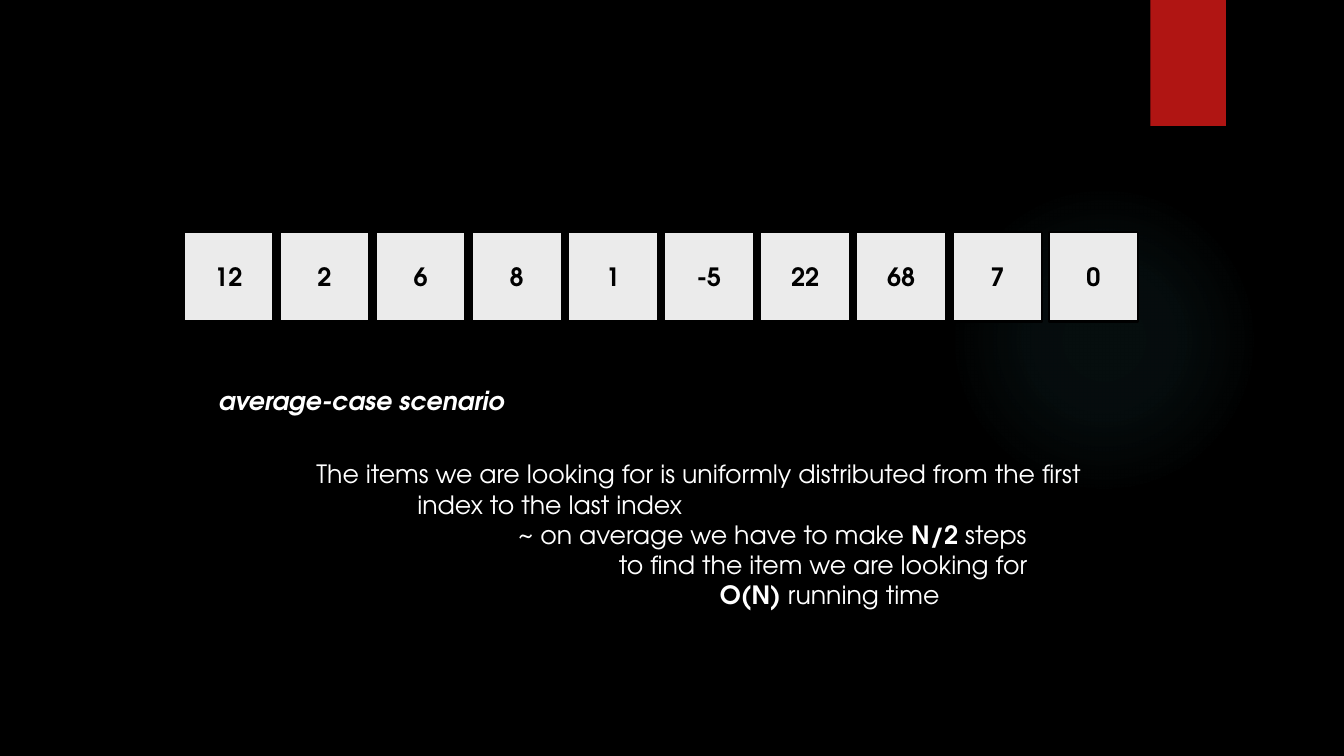
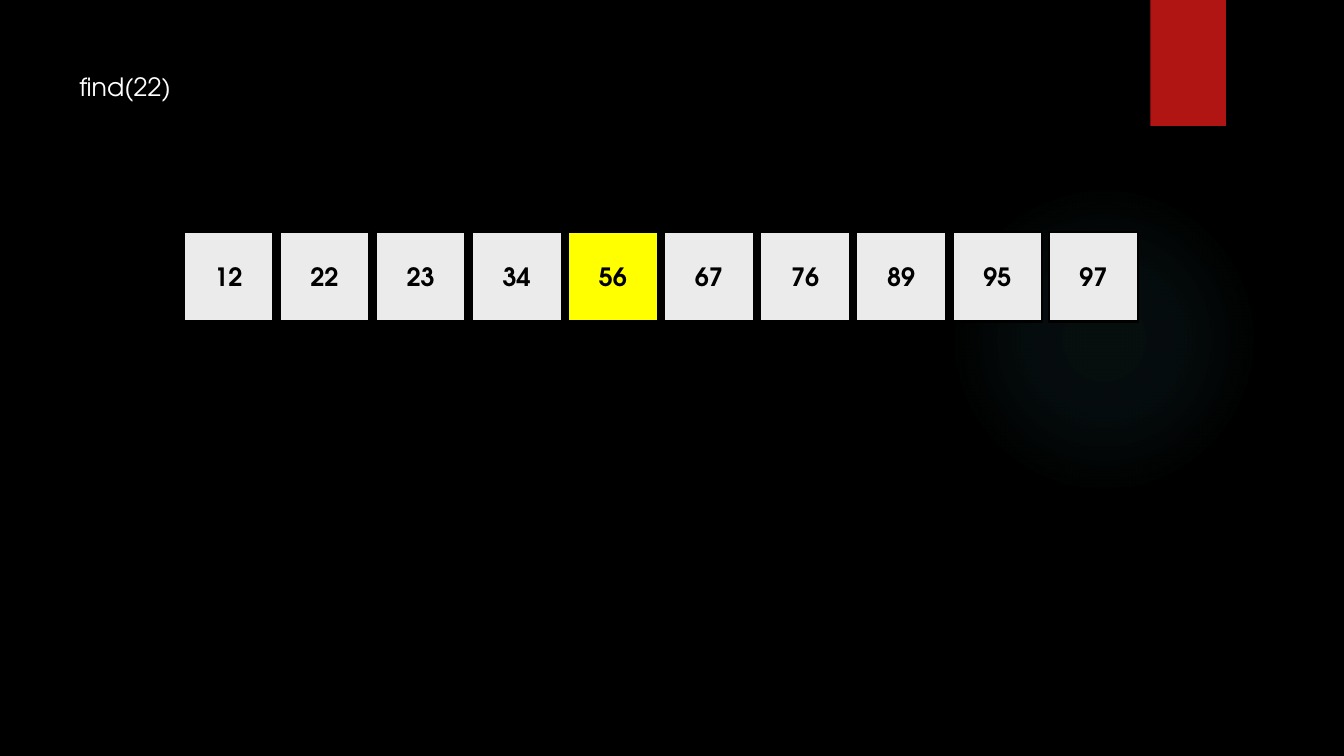
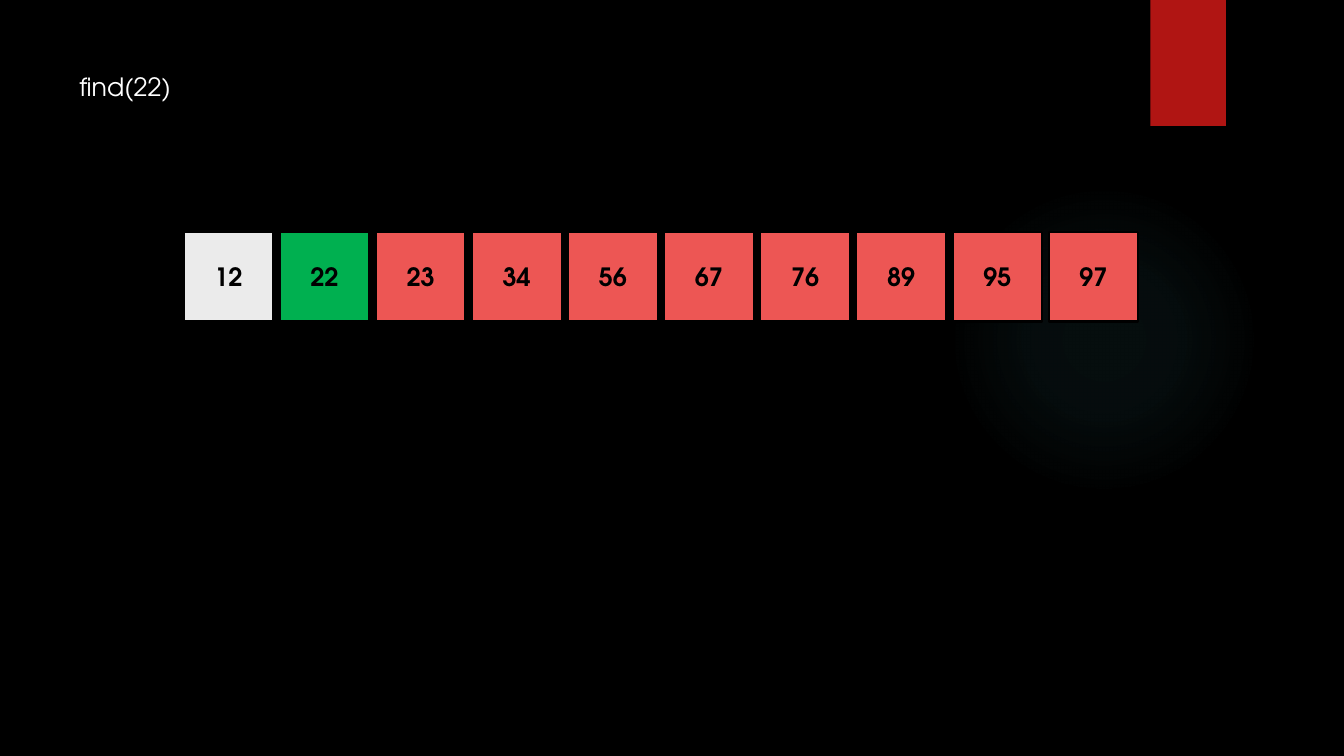
from dataclasses import dataclass

from pptx import Presentation
from pptx.dml.color import RGBColor
from pptx.enum.shapes import MSO_SHAPE as SHAPE
from pptx.enum.text import MSO_ANCHOR as ANCHOR, MSO_AUTO_SIZE as AUTO, PP_ALIGN as ALIGN
from pptx.oxml import parse_xml
from pptx.oxml.ns import nsdecls
from pptx.util import Inches, Pt


@dataclass(frozen=True)
class Theme:
    font: str = "TeX Gyre Adventor"
    size: float = 18
    line: float = 1.5
    back: str = "000000"
    text: str = "FFFFFF"
    ink: str = "000000"
    cell: str = "EBEBEB"
    probe: str = "FFFF00"
    found: str = "00B050"
    discarded: str = "ED5654"
    band: str = "B01513"
    glow: str = "50B9C1"
    glow_stops: tuple = ((0, 7), (36, 6), (69, 0))


T = Theme()
CELL_SIZE, CELL_TOP = 0.89, 2.3
FIRST_LEFT, LAST_LEFT = 1.82, 10.4
UNSORTED = (12, 2, 6, 8, 1, -5, 22, 68, 7, 0)
SORTED = (12, 22, 23, 34, 56, 67, 76, 89, 95, 97)


def rgb(color):
    return RGBColor.from_string(color)


def add_run(p, text, color, **formats):
    r = p.add_run()
    r.text = text
    r.font.color.rgb = rgb(color)
    for name, value in {"name": T.font, "size": Pt(T.size), **formats}.items():
        setattr(r.font, name, value)


def add_shape(slide, kind, box, color):
    sp = slide.shapes.add_shape(kind, *map(Inches, box))
    sp.shadow.inherit = False
    sp.fill.solid()
    sp.fill.fore_color.rgb = rgb(color)
    sp.line.fill.background()
    return sp


def fill_glow(sp):
    """Replace the fill by a radial gradient that fades to transparent."""
    stops = "".join(
        f'<a:gs pos="{pos * 1000}"><a:srgbClr val="{T.glow}">'
        f'<a:alpha val="{alpha * 1000}"/></a:srgbClr></a:gs>'
        for pos, alpha in T.glow_stops)
    grad = parse_xml(
        f'<a:gradFill {nsdecls("a")} rotWithShape="1"><a:gsLst>{stops}</a:gsLst>'
        '<a:path path="circle"><a:fillToRect l="50000" t="50000" r="50000" b="50000"/>'
        '</a:path></a:gradFill>')
    solid = sp.element.spPr.find(
        "{http://schemas.openxmlformats.org/drawingml/2006/main}solidFill")
    sp.element.spPr.replace(solid, grad)


def set_up_layout(layout, slide):
    """Draw the shared parts on a slide and move them to its layout."""
    fill = layout.background.fill
    fill.solid()
    fill.fore_color.rgb = rgb(T.back)
    tree = layout.shapes.element
    for ph in list(layout.placeholders):
        tree.remove(ph.element)
    glow = add_shape(slide, SHAPE.OVAL, (9.41, 1.83, 3.08, 3.08), T.glow)
    fill_glow(glow)
    band = add_shape(slide, SHAPE.RECTANGLE, (11.41, 0, 0.75, 1.25), T.band)
    for sp in (glow, band):
        tree.append(sp.element)


def add_array(slide, values, colors=None):
    """Draw a row of cells; colors maps an index to a special fill."""
    pitch = (LAST_LEFT - FIRST_LEFT) / (len(values) - 1)
    for i, value in enumerate(values):
        box = (FIRST_LEFT + i * pitch, CELL_TOP, CELL_SIZE, CELL_SIZE)
        sp = add_shape(slide, SHAPE.RECTANGLE, box, (colors or {}).get(i, T.cell))
        sp.line.color.rgb = rgb(T.ink)
        sp.line.width = Pt(T.line)
        tf = sp.text_frame
        tf.vertical_anchor = ANCHOR.MIDDLE
        p = tf.paragraphs[0]
        p.alignment = ALIGN.CENTER
        add_run(p, str(value), T.ink, bold=True)


def add_text(slide, box, lines, step=0, **formats):
    """Each line is a list of runs, bold at odd places, indented by one more step."""
    tf = slide.shapes.add_textbox(*map(Inches, box)).text_frame
    tf.word_wrap = False
    tf.auto_size = AUTO.SHAPE_TO_FIT_TEXT
    for i, runs in enumerate(lines):
        p = tf.add_paragraph() if i else tf.paragraphs[0]
        if i and step:
            p._p.get_or_add_pPr().set("marL", str(Inches(i * step)))
        for j, text in enumerate(runs):
            if text:
                add_run(p, text, T.text, **{"bold": j % 2 == 1, **formats})


def add_average_case(slide):
    add_array(slide, UNSORTED)
    add_text(slide, (2.07, 3.77, 3.06, 0.4), [["average-case scenario"]],
             bold=True, italic=True)
    add_text(slide, (3.04, 4.5, 7.91, 1.62), [
        ["The items we are looking for is uniformly distributed from the first"],
        ["index to the last index"],
        ["~ on average we have to make ", "N/2", " steps"],
        ["to find the item we are looking for"],
        ["", "O(N)", " running time"],
    ], step=1)


def add_search(slide, colors):
    add_array(slide, SORTED, colors)
    add_text(slide, (0.69, 0.66, 1.13, 0.4), [["find(22)"]])


def main():
    prs = Presentation()
    prs.slide_width, prs.slide_height = Inches(13.33), Inches(7.5)
    blank = prs.slide_layouts[6]
    average, probe, found = [prs.slides.add_slide(blank) for _ in range(3)]
    set_up_layout(blank, average)
    add_average_case(average)
    add_search(probe, {4: T.probe})
    add_search(found, {1: T.found, **dict.fromkeys(range(2, len(SORTED)), T.discarded)})
    prs.save("out.pptx")


if __name__ == "__main__":
    main()
